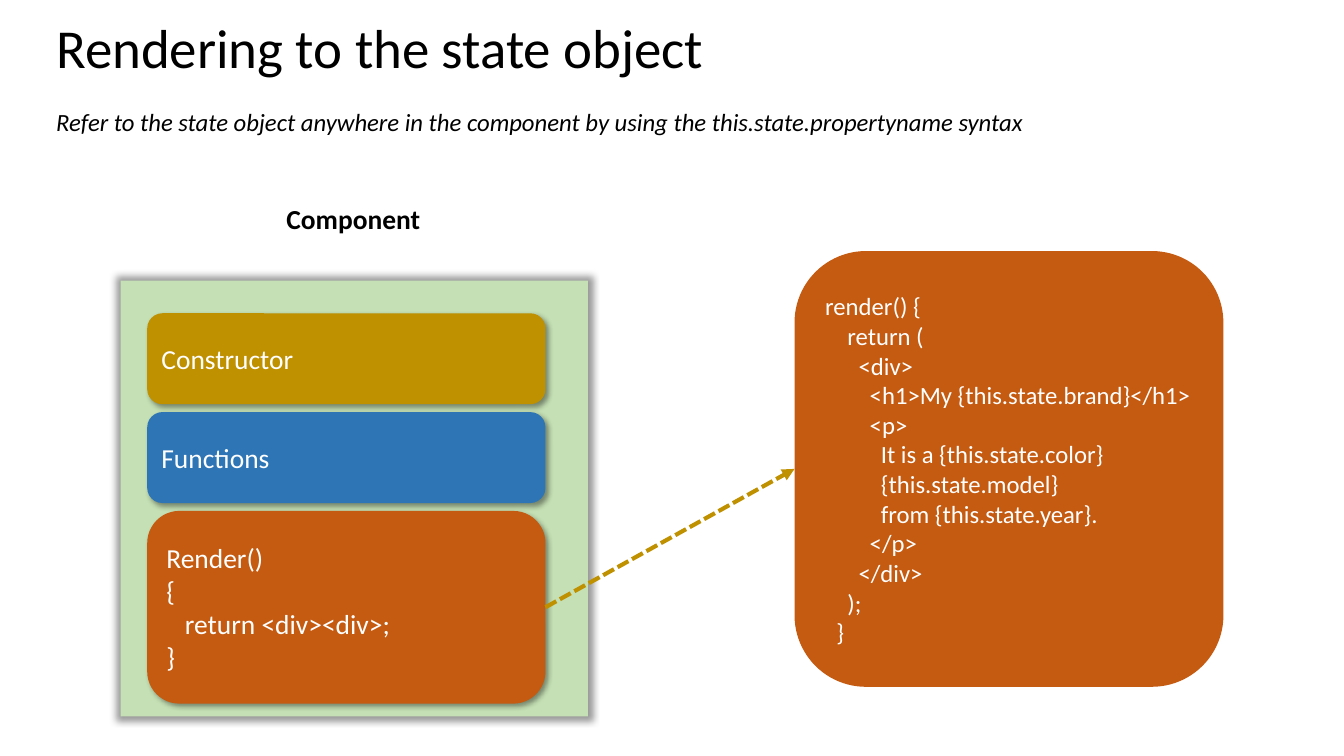
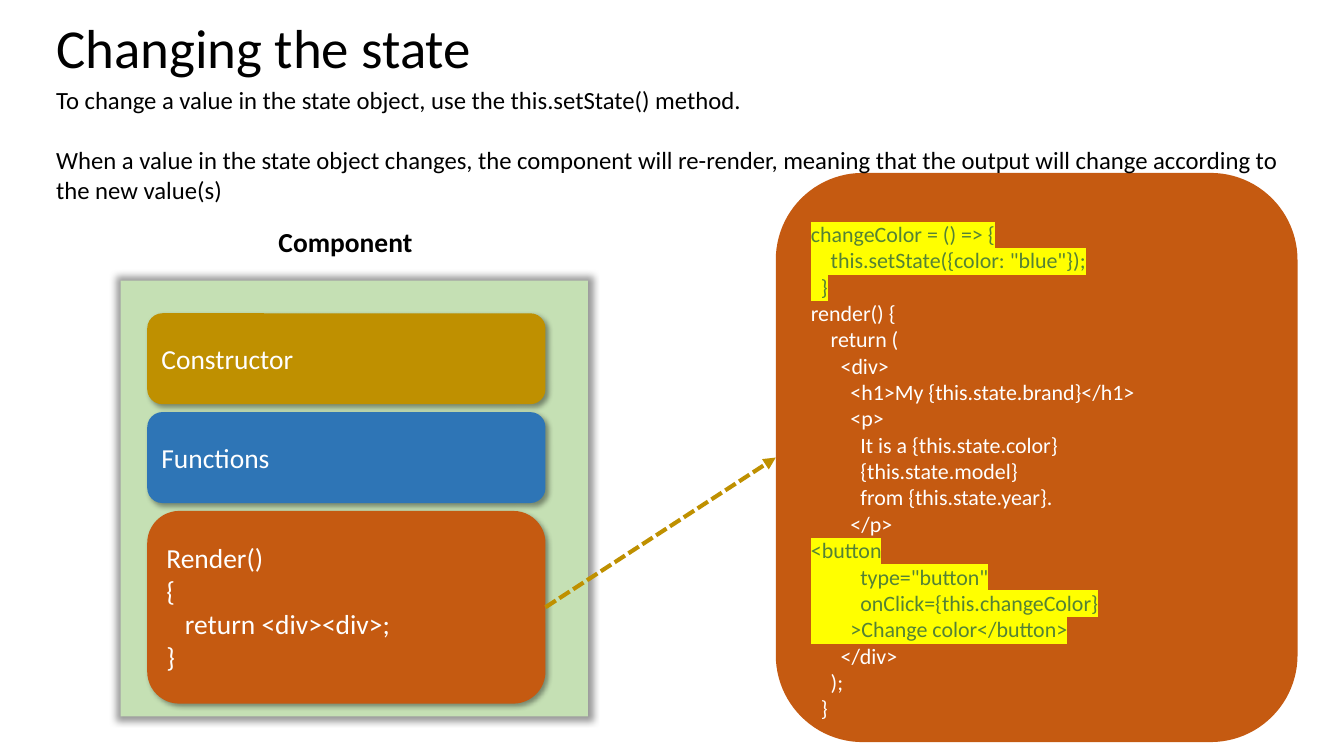
import pptx
import pptx.dml.color
import pptx.enum.dml
import pptx.enum.shapes
import pptx.enum.text
import pptx.oxml
import pptx.oxml.ns
import pptx.util
from lxml import etree

Inches = pptx.util.Inches
Pt = pptx.util.Pt
Shape = pptx.enum.shapes.MSO_SHAPE
Anchor = pptx.enum.text.MSO_ANCHOR
Align = pptx.enum.text.PP_ALIGN
qn = pptx.oxml.ns.qn

FONT = "Calibri"
COLORS = {
    "text": "000000",
    "light": "FFFFFF",
    "component": "C5E0B4",
    "constructor": "BF9000",
    "functions": "2E75B6",
    "render": "C55A11",
    "added": "548235",
    "marker": "FFFF00",
}
GLOW = {"blurRad": Pt(5), "sx": 102000, "sy": 102000, "algn": "ctr"}
DROP = {"blurRad": Pt(4), "dist": Pt(3), "dir": 45 * 60000, "algn": "tl"}

RENDER_SUMMARY = ["Render()", "{", "   return <div><div>;", "}"]
RENDER_BODY = [
    "render() {",
    "    return (",
    "      <div>",
    "        <h1>My {this.state.brand}</h1>",
    "        <p>",
    "          It is a {this.state.color}",
    "          {this.state.model}",
    "          from {this.state.year}.",
    "        </p>",
]
RENDER_END = ["      </div>", "    );", "  }"]
CHANGE_COLOR = [
    "changeColor = () => {",
    '    this.setState({color: "blue"});',
    "  }",
]
BUTTON = [
    "<button",
    '          type="button"',
    "          onClick={this.changeColor}",
    "        >Change color</button>",
]


def rgb(name):
    return pptx.dml.color.RGBColor.from_string(COLORS[name])


def style_run(run, size, color, bold=False, italic=False):
    run.font.size = Pt(size)
    run.font.name = FONT
    run.font.bold = bold
    run.font.italic = italic
    run.font.color.rgb = rgb(color)


def highlight(run):
    fill = run.font._element.find(qn("a:solidFill"))
    marker = pptx.oxml.parse_xml(
        f'<a:highlight {pptx.oxml.ns.nsdecls("a")}>'
        f'<a:srgbClr val="{COLORS["marker"]}"/></a:highlight>')
    fill.addnext(marker)


def write_lines(frame, lines, size, color, gap=0, **style):
    frame.text = "\n".join(lines)
    for index, paragraph in enumerate(frame.paragraphs):
        paragraph.alignment = Align.LEFT
        if index and gap:
            paragraph.space_before = Pt(gap)
        for run in paragraph.runs:
            style_run(run, size, color, **style)


def add_title(slide, text):
    title = slide.shapes.title
    title.left, title.top = Inches(0.47), Inches(0.21)
    title.width, title.height = Inches(12.66), Inches(0.61)
    frame = title.text_frame
    write_lines(frame, [text], 40, "text")
    frame.auto_size = pptx.enum.text.MSO_AUTO_SIZE.NONE
    frame.vertical_anchor = Anchor.MIDDLE
    frame.paragraphs[0].line_spacing = 0.9


def add_text(slide, box, lines, size, wrap=True, **style):
    frame = slide.shapes.add_textbox(*map(Inches, box)).text_frame
    frame.word_wrap = wrap
    write_lines(frame, lines, size, "text", **style)


def add_shadow(shape, settings):
    effects = shape._element.spPr.find(qn("a:effectLst"))
    shadow = etree.SubElement(effects, qn("a:outerShdw"))
    for key, value in settings.items():
        shadow.set(key, str(value))
    color = etree.SubElement(shadow, qn("a:srgbClr"), val="000000")
    etree.SubElement(color, qn("a:alpha"), val="40000")


def add_block(slide, kind, box, color, lines=(), size=20, shadow=None):
    block = slide.shapes.add_shape(kind, *map(Inches, box))
    block.fill.solid()
    block.fill.fore_color.rgb = rgb(color)
    block.line.fill.background()
    block.shadow.inherit = False
    if shadow:
        add_shadow(block, shadow)
    if lines:
        write_lines(block.text_frame, lines, size, "light")
        block.text_frame.vertical_anchor = Anchor.MIDDLE
    return block


def add_component(slide, label_left, label_top):
    add_text(slide, (label_left, label_top, 1.57, 0.44), ["Component"], 20,
             wrap=False, bold=True)
    add_block(slide, Shape.RECTANGLE, (1.22, 2.84, 4.73, 4.41), "component",
              shadow=GLOW)
    parts = [
        ("constructor", ["Constructor"], 0.92),
        ("functions", ["Functions"], 0.92),
        ("render", RENDER_SUMMARY, 1.95),
    ]
    top = 3.17
    for color, lines, height in parts:
        part = add_block(slide, Shape.ROUNDED_RECTANGLE,
                         (1.49, top, 4.03, height), color, lines, shadow=DROP)
        top += height + 0.08
    return part


def add_code(slide, box, size, sections, top_inset=0.05):
    lines = [line for section, _ in sections for line in section]
    added = [is_added for section, is_added in sections for _ in section]
    code = add_block(slide, Shape.ROUNDED_RECTANGLE, box, "render", lines, size)
    code.text_frame.margin_top = Inches(top_inset)
    for paragraph, is_added in zip(code.text_frame.paragraphs, added):
        if is_added:
            for run in paragraph.runs:
                run.font.color.rgb = rgb("added")
                highlight(run)
    return code


def add_arrow(slide, render, code):
    arrow = slide.shapes.add_connector(
        pptx.enum.shapes.MSO_CONNECTOR.STRAIGHT, 0, 0, 0, 0)
    arrow.begin_connect(render, 3)
    arrow.end_connect(code, 1)
    arrow.line.color.rgb = rgb("constructor")
    arrow.line.width = Pt(3)
    arrow.line.dash_style = pptx.enum.dml.MSO_LINE.SQUARE_DOT
    properties = arrow._element.spPr
    etree.SubElement(properties.find(qn("a:ln")), qn("a:tailEnd"),
                     type="triangle")
    etree.SubElement(properties, qn("a:effectLst"))


def add_state_slide(deck, title):
    slide = deck.slides.add_slide(deck.slide_layouts[5])
    add_title(slide, title)
    return slide


def build_rendering(deck):
    slide = add_state_slide(deck, "Rendering to the state object")
    render = add_component(slide, 2.8, 2)
    code = add_code(slide, (8.04, 2.54, 4.34, 4.41), 18,
                    [(RENDER_BODY + RENDER_END, False)])
    add_arrow(slide, render, code)
    add_text(slide, (0.47, 1.03, 10.65, 0.4),
             ["Refer to the state object anywhere in the component by using "
              "the this.state.propertyname syntax"], 18, italic=True)


def build_changing(deck):
    slide = add_state_slide(deck, "Changing the state")
    render = add_component(slide, 2.72, 2.23)
    code = add_code(slide, (7.85, 1.75, 5.28, 5.76), 16,
                    [(CHANGE_COLOR, True), (RENDER_BODY, False),
                     (BUTTON, True), (RENDER_END, False)], top_inset=0.32)
    add_arrow(slide, render, code)
    add_text(slide, (0.47, 0.81, 12.75, 1.31),
             ["To change a value in the state object, use the "
              "this.setState() method.",
              "When a value in the state object changes, the component will "
              "re-render, meaning that the output will change according to "
              "the new value(s)"], 18, gap=22)


def main():
    deck = pptx.Presentation()
    deck.slide_width = Inches(13.6)
    deck.slide_height = Inches(7.65)
    build_rendering(deck)
    build_changing(deck)
    deck.save("out.pptx")


if __name__ == "__main__":
    main()
